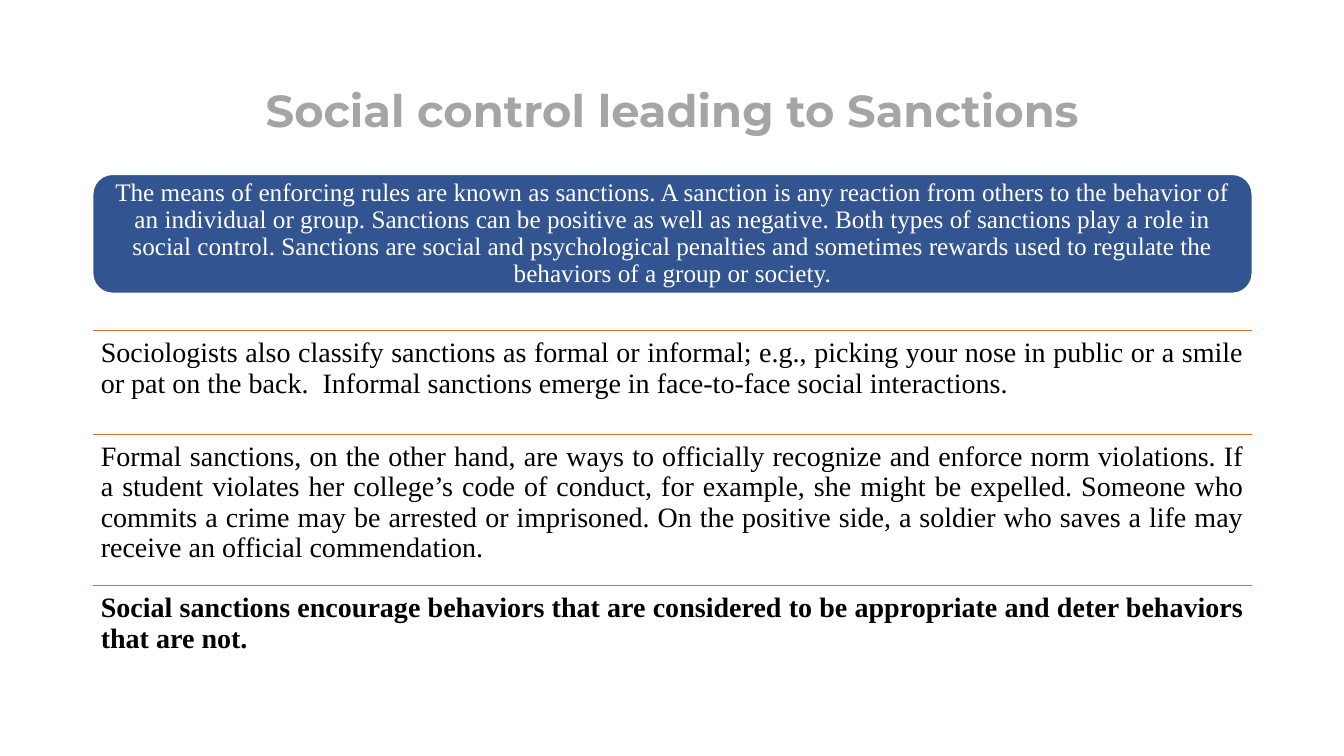
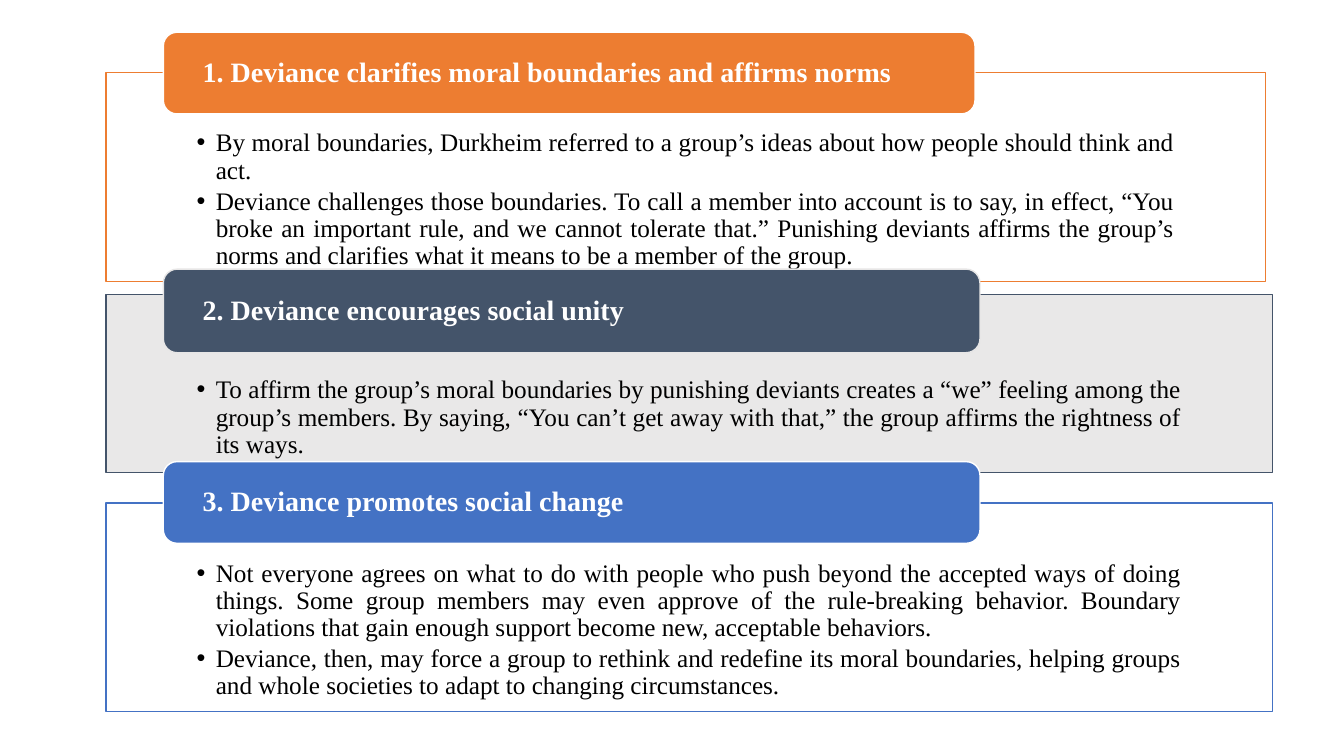
"""Build two slides on sanctions and the functions of deviance."""
from dataclasses import dataclass

from lxml import etree
from pptx import Presentation
from pptx import util as u
from pptx.dml import color
from pptx.enum import shapes, text
from pptx.oxml import ns

COLORS = {
    "title": "A5A5A5",
    "banner": "325491",
    "rule": "D7712C",
    "orange": "ED7D31",
    "slate": "44546A",
    "blue": "4472C4",
    "gray": "E7E6E6",
    "white": "FFFFFF",
    "black": "000000",
}
TITLE_FONT = "Montserrat"
BODY_FONT = "Times New Roman"
MARGIN = 0.92
CONTENT_WIDTH = 11.5
PANEL_LEFT = 1.05
HEADER_LEFT = 1.62


@dataclass(frozen=True)
class Statement:
    top: float
    height: float
    words: str
    bold: bool = False


@dataclass(frozen=True)
class Panel:
    top: float
    width: float
    height: float
    text_inset: float
    fill: str
    accent: str
    header_top: float
    header_width: float
    header_height: float
    heading: str
    points: tuple[str, ...]


BANNER = (
    "The means of enforcing rules are known as sanctions. A sanction is any reaction from others "
    "to the behavior of an individual or group. Sanctions can be positive as well as negative. "
    "Both types of sanctions play a role in social control. Sanctions are social and psychological "
    "penalties and sometimes rewards used to regulate the behaviors of a group or society."
)
STATEMENTS = (
    Statement(3.28, 1.03, (
        "Sociologists also classify sanctions as formal or informal; e.g., picking your nose in "
        "public or a smile or pat on the back.  Informal sanctions emerge in face-to-face social "
        "interactions.")),
    Statement(4.31, 1.49, (
        "Formal sanctions, on the other hand, are ways to officially recognize and enforce norm "
        "violations. If a student violates her college’s code of conduct, for example, she might "
        "be expelled. Someone who commits a crime may be arrested or imprisoned. On the positive "
        "side, a soldier who saves a life may receive an official commendation.")),
    Statement(5.81, 0.83, (
        "Social sanctions encourage behaviors that are considered to be appropriate and deter "
        "behaviors that are not."), bold=True),
)
PANELS = (
    Panel(0.72, 11.5, 2.07, 0.57, "white", "orange", 0.32, 8.05, 0.81,
          "1. Deviance clarifies moral boundaries and affirms norms", (
              "By moral boundaries, Durkheim referred to a group’s ideas about how people should "
              "think and act.",
              "Deviance challenges those boundaries. To call a member into account is to say, in "
              "effect, “You broke an important rule, and we cannot tolerate that.” Punishing "
              "deviants affirms the group’s norms and clarifies what it means to be a member of "
              "the group.")),
    Panel(2.92, 11.57, 1.77, 0.82, "gray", "slate", 2.67, 8.1, 0.83,
          "2. Deviance encourages social unity", (
              "To affirm the group’s moral boundaries by punishing deviants creates a “we” feeling "
              "among the group’s members. By saying, “You can’t get away with that,” the group "
              "affirms the rightness of its ways.",)),
    Panel(4.99, 11.57, 2.07, 0.57, "white", "blue", 4.58, 8.1, 0.81,
          "3. Deviance promotes social change", (
              "Not everyone agrees on what to do with people who push beyond the accepted ways of "
              "doing things. Some group members may even approve of the rule-breaking behavior. "
              "Boundary violations that gain enough support become new, acceptable behaviors.",
              "Deviance, then, may force a group to rethink and redefine its moral boundaries, "
              "helping groups and whole societies to adapt to changing circumstances.")),
)


def rgb(name: str) -> color.RGBColor:
    return color.RGBColor.from_string(COLORS[name])


def place(shape, left: float, top: float, width: float, height: float) -> None:
    shape.left, shape.top = u.Inches(left), u.Inches(top)
    shape.width, shape.height = u.Inches(width), u.Inches(height)


def paint(shape, fill: str, line: str) -> None:
    shape.fill.solid()
    shape.fill.fore_color.rgb = rgb(fill)
    shape.line.color.rgb = rgb(line)
    shape.line.width = u.Pt(1)


def write(shape, words: str, size: int, ink: str, align, anchor, insets: tuple[float, ...],
          bold: bool = False, font: str = BODY_FONT) -> None:
    frame = shape.text_frame
    frame.text = words
    frame.word_wrap = True
    frame.auto_size = text.MSO_AUTO_SIZE.NONE
    frame.vertical_anchor = anchor
    (frame.margin_left, frame.margin_top,
     frame.margin_right, frame.margin_bottom) = map(u.Inches, insets)
    for paragraph in frame.paragraphs:
        paragraph.alignment = align
        paragraph.line_spacing = 0.9
        paragraph.space_before = u.Pt(0)
        for run in paragraph.runs:
            run.font.name = font
            run.font.size = u.Pt(size)
            run.font.bold = bold
            run.font.color.rgb = rgb(ink)


def add_bullets(shape) -> None:
    for paragraph in shape.text_frame.paragraphs:
        paragraph.space_after = u.Pt(2.7)
        properties = paragraph._p.get_or_add_pPr()
        properties.set("marL", str(u.Inches(0.19)))
        properties.set("indent", str(u.Inches(-0.19)))
        etree.SubElement(properties, ns.qn("a:buFont"), typeface="Arial")
        etree.SubElement(properties, ns.qn("a:buChar"), char="•")


def add_rounded_box(slide, left: float, top: float, width: float, height: float,
                    fill: str, line: str):
    box = slide.shapes.add_shape(shapes.MSO_SHAPE.ROUNDED_RECTANGLE, 0, 0, 0, 0)
    place(box, left, top, width, height)
    box.shadow.inherit = False
    paint(box, fill, line)
    return box


def add_statement(slide, statement: Statement) -> None:
    left, top, right = map(u.Inches, (MARGIN, statement.top, MARGIN + CONTENT_WIDTH))
    rule = slide.shapes.add_connector(shapes.MSO_CONNECTOR.STRAIGHT, left, top, right, top)
    rule.line.color.rgb = rgb("rule")
    rule.line.width = u.Pt(1)
    etree.SubElement(rule._element.spPr, ns.qn("a:effectLst"))
    box = slide.shapes.add_textbox(left, top, u.Inches(CONTENT_WIDTH), u.Inches(statement.height))
    write(box, statement.words, 20, "black", text.PP_ALIGN.JUSTIFY, text.MSO_ANCHOR.TOP,
          (0.08,) * 4, statement.bold)


def fill_panel(slide, body, panel: Panel) -> None:
    place(body, PANEL_LEFT, panel.top, panel.width, panel.height)
    paint(body, panel.fill, panel.accent)
    fill_color = body._element.spPr.find(ns.qn("a:solidFill"))[0]
    etree.SubElement(fill_color, ns.qn("a:alpha"), val="90000")
    write(body, "\n".join(panel.points), 18, "black", text.PP_ALIGN.JUSTIFY,
          text.MSO_ANCHOR.TOP, (0.9, panel.text_inset, 0.9, 0.14))
    add_bullets(body)
    header = add_rounded_box(slide, HEADER_LEFT, panel.header_top, panel.header_width,
                             panel.header_height, panel.accent, panel.fill)
    write(header, panel.heading, 20, "white", text.PP_ALIGN.JUSTIFY, text.MSO_ANCHOR.MIDDLE,
          (0.35, 0.04, 0.35, 0.04), bold=True)


def build_sanctions(presentation) -> None:
    slide = presentation.slides.add_slide(presentation.slide_layouts.get_by_name("Title Only"))
    title = slide.shapes.title
    place(title, MARGIN, 0.4, CONTENT_WIDTH, 1.45)
    write(title, "Social control leading to Sanctions", 32, "title", text.PP_ALIGN.CENTER,
          text.MSO_ANCHOR.MIDDLE, (0.1, 0.05, 0.1, 0.05), bold=True, font=TITLE_FONT)
    banner = add_rounded_box(slide, MARGIN, 1.73, CONTENT_WIDTH, 1.18, "banner", "white")
    write(banner, BANNER, 18, "white", text.PP_ALIGN.CENTER, text.MSO_ANCHOR.MIDDLE, (0.12,) * 4)
    for statement in STATEMENTS:
        add_statement(slide, statement)


def build_deviance(presentation) -> None:
    slide = presentation.slides.add_slide(presentation.slide_layouts.get_by_name("Comparison"))
    title, *bodies = slide.placeholders
    for body, panel in zip(bodies, PANELS):
        fill_panel(slide, body, panel)
    for unused in (title, *bodies[len(PANELS):]):
        unused._element.getparent().remove(unused._element)


def main() -> None:
    presentation = Presentation()
    presentation.slide_width = u.Inches(13.33)
    presentation.slide_height = u.Inches(7.5)
    build_sanctions(presentation)
    build_deviance(presentation)
    presentation.save("out.pptx")


if __name__ == "__main__":
    main()
